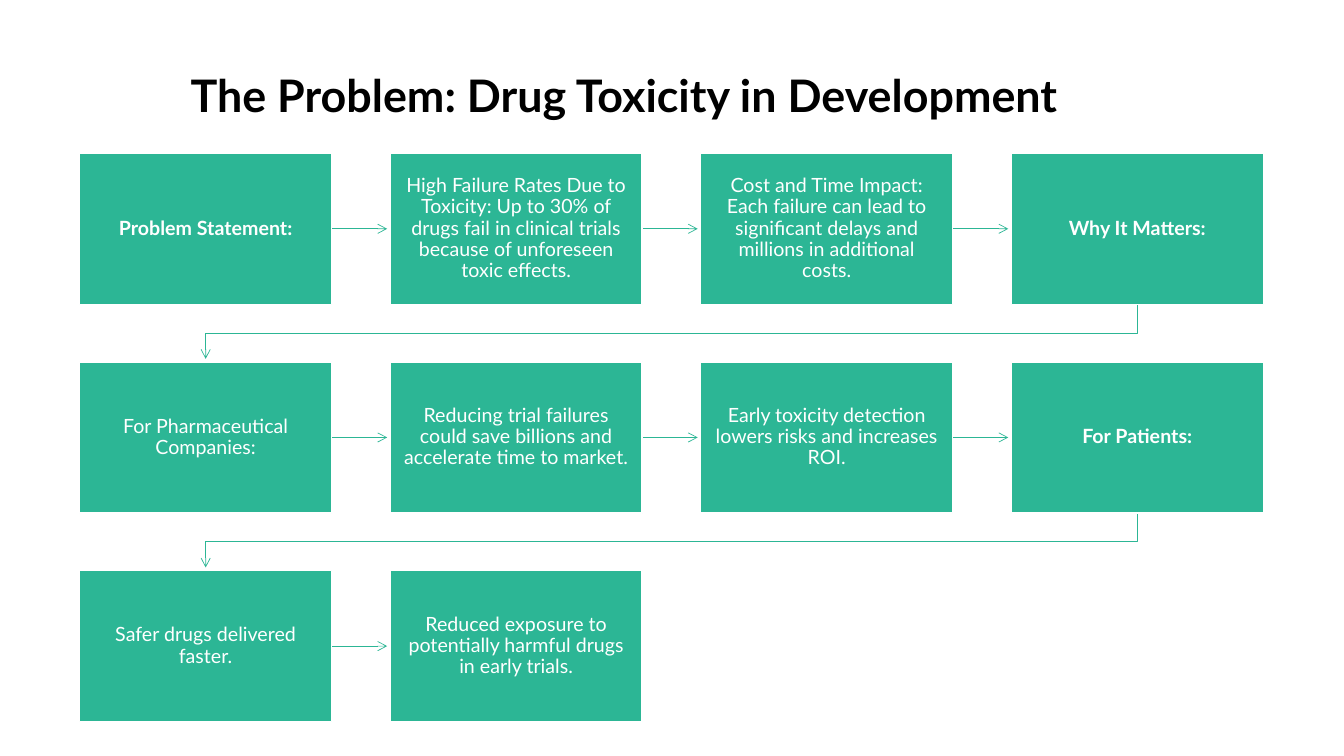
from lxml import etree
from pptx import Presentation
from pptx.dml.color import RGBColor
from pptx.enum import shapes, text
from pptx.oxml import ns
from pptx.util import Inches, Pt

GREEN, WHITE, BLACK = "2CB695", "FFFFFF", "000000"
COLUMNS = 4
LEFT, TOP = 0.79, 1.52
BOX_W, BOX_H = 2.5, 1.5
STEP_X, STEP_Y = 3.08, 2.07
ARROW_GAP = 0.03  # space between an arrowhead and its box

# Text and whether it is bold, in reading order
STEPS = [
    ("Problem Statement:", True),
    ("High Failure Rates Due to Toxicity: Up to 30% of drugs fail in "
     "clinical trials because of unforeseen toxic effects.", False),
    ("Cost and Time Impact: Each failure can lead to significant delays "
     "and millions in additional costs.", False),
    ("Why It Matters:", True),
    ("For Pharmaceutical Companies:", False),
    ("Reducing trial failures could save billions and accelerate time "
     "to market.", False),
    ("Early toxicity detection lowers risks and increases ROI.", False),
    ("For Patients:", True),
    ("Safer drugs delivered faster.", False),
    ("Reduced exposure to potentially harmful drugs in early trials.", False),
]


def rgb(value):
    return RGBColor.from_string(value)


def set_all(obj, values):
    for name, value in values.items():
        setattr(obj, name, value)


def write(sp, content, frame, para, size, color, bold):
    tf = sp.text_frame
    set_all(tf, {"word_wrap": True, "auto_size": text.MSO_AUTO_SIZE.NONE,
                 "vertical_anchor": text.MSO_ANCHOR.MIDDLE, **frame})
    p = tf.paragraphs[0]
    set_all(p, para)
    r = p.add_run()
    r.text = content
    set_all(r.font, {"name": "Lato", "size": Pt(size), "bold": bold})
    r.font.color.rgb = rgb(color)


def add_title(s, content):
    sp = s.shapes.title
    set_all(sp, {"left": Inches(1.79), "top": Inches(0.19),
                 "width": Inches(9.75), "height": Inches(1.5)})
    write(sp, content, {}, {"alignment": text.PP_ALIGN.LEFT}, 32, BLACK, True)


def add_box(s, x, y, content, bold):
    sp = s.shapes.add_shape(shapes.MSO_SHAPE.RECTANGLE, Inches(x), Inches(y),
                            Inches(BOX_W), Inches(BOX_H))
    sp.shadow.inherit = False
    sp.fill.solid()
    sp.fill.fore_color.rgb = rgb(GREEN)
    sp.line.color.rgb = rgb(WHITE)
    sp.line.width = Pt(1)
    frame = {"margin_left": Inches(0.12), "margin_right": Inches(0.12),
             "margin_top": Inches(0.13), "margin_bottom": Inches(0.13)}
    para = {"alignment": text.PP_ALIGN.CENTER, "line_spacing": 0.9}
    write(sp, content, frame, para, 14, WHITE, bold)


def style_arrow(sp):
    sp.line.color.rgb = rgb(GREEN)
    sp.line.width = Pt(0.5)
    ln = sp.line._get_or_add_ln()
    etree.SubElement(ln, ns.qn("a:tailEnd"), type="arrow")


def add_arrow(s, x, y):
    """Arrow from the box at x, y to its right neighbour."""
    mid = Inches(y + BOX_H / 2)
    sp = s.shapes.add_connector(
        shapes.MSO_CONNECTOR.STRAIGHT, Inches(x + BOX_W), mid,
        Inches(x + STEP_X - ARROW_GAP), mid)
    style_arrow(sp)
    etree.SubElement(sp._element.spPr, ns.qn("a:effectLst"))


def add_return_arrow(s, x, y):
    """Arrow from the last box of a row to the first box of the next."""
    start, end = x + BOX_W / 2, LEFT + BOX_W / 2
    bottom, turn = y + BOX_H, (y + BOX_H + y + STEP_Y) / 2
    route = [(start, turn), (end, turn), (end, y + STEP_Y - ARROW_GAP)]
    builder = s.shapes.build_freeform(Inches(start), Inches(bottom))
    builder.add_line_segments([(Inches(a), Inches(b)) for a, b in route],
                              close=False)
    sp = builder.convert_to_shape()
    sp.fill.background()
    style_arrow(sp)
    sp.shadow.inherit = False


def main():
    prs = Presentation()
    prs.slide_width, prs.slide_height = Inches(13.33), Inches(7.5)
    s = prs.slides.add_slide(prs.slide_layouts[5])
    add_title(s, "The Problem: Drug Toxicity in Development")

    # Flow of steps, row by row
    for i, (content, bold) in enumerate(STEPS):
        row, col = divmod(i, COLUMNS)
        x, y = LEFT + col * STEP_X, TOP + row * STEP_Y
        if i < len(STEPS) - 1:
            connect = add_return_arrow if col == COLUMNS - 1 else add_arrow
            connect(s, x, y)
        add_box(s, x, y, content, bold)

    prs.save("out.pptx")


if __name__ == "__main__":
    main()
